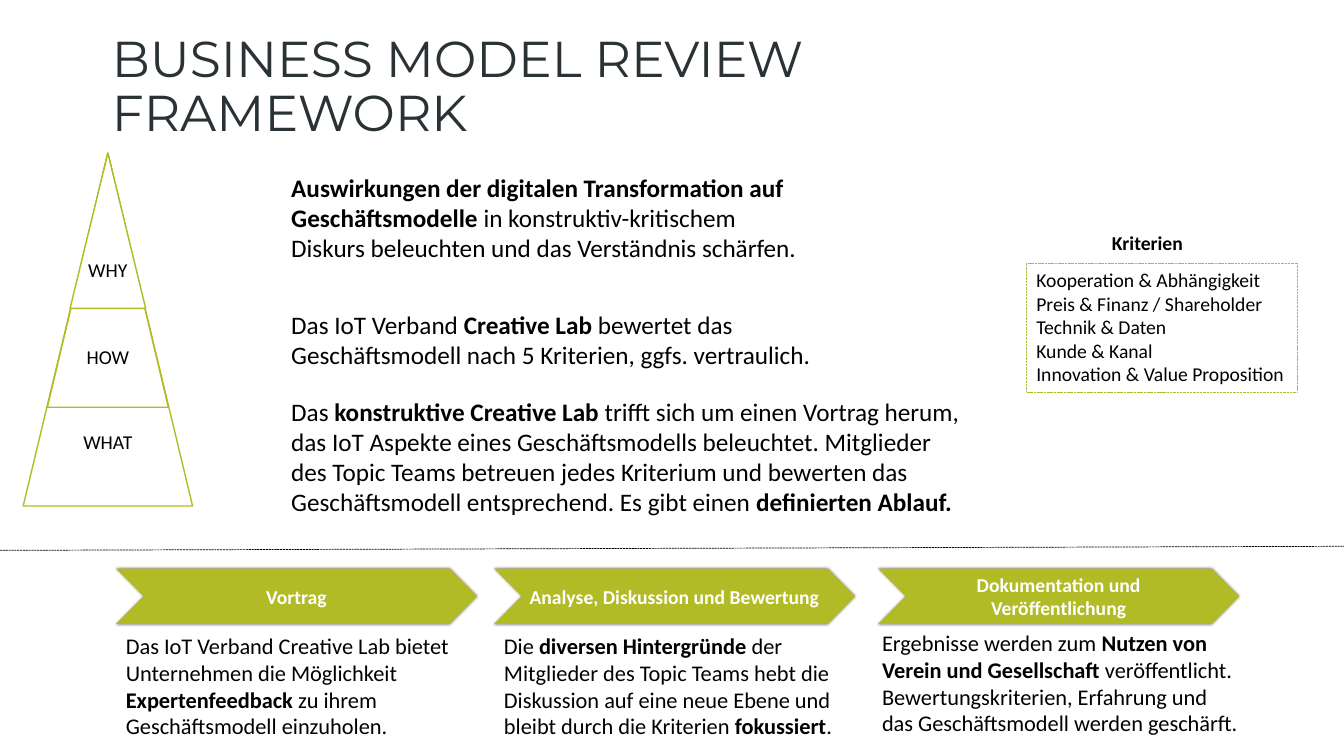
from lxml import etree
from pptx import Presentation
from pptx.dml.color import RGBColor
from pptx.enum.dml import MSO_LINE
from pptx.enum.shapes import MSO_CONNECTOR, MSO_SHAPE
from pptx.enum.text import MSO_ANCHOR, MSO_AUTO_SIZE, PP_ALIGN
from pptx.oxml.ns import qn
from pptx.util import Pt

PX = 9144
LEFT, CENTER = PP_ALIGN.LEFT, PP_ALIGN.CENTER
TOP, MIDDLE = MSO_ANCHOR.TOP, MSO_ANCHOR.MIDDLE
TRIANGLE, CHEVRON, RECT = MSO_SHAPE.ISOSCELES_TRIANGLE, MSO_SHAPE.CHEVRON, MSO_SHAPE.RECTANGLE
STRAIGHT, DASH, NO_FIT = MSO_CONNECTOR.STRAIGHT, MSO_LINE.SQUARE_DOT, MSO_AUTO_SIZE.NONE
BLACK, WHITE, DARK, LIME, GREEN = "000000", "FFFFFF", "2A3235", "B1BB23", "B1BB25"

STATEMENTS = [
    (166, 531, 101, "**Auswirkungen der digitalen Transformation auf Geschäftsmodelle **in "
     "konstruktiv-kritischem Diskurs beleuchten und das Verständnis schärfen."),
    (302, 544, 71, "Das IoT Verband **Creative Lab **bewertet das Geschäftsmodell nach "
     "5 Kriterien, ggfs. vertraulich."),
    (388, 690, 131, "Das **konstruktive Creative Lab **trifft sich um einen Vortrag herum, das IoT "
     "Aspekte eines Geschäftsmodells beleuchtet. Mitglieder des Topic Teams betreuen jedes "
     "Kriterium und bewerten das Geschäftsmodell entsprechend. Es gibt einen "
     "**definierten Ablauf.**"),
]
CRITERIA = ["Kooperation & Abhängigkeit", "Preis & Finanz / Shareholder", "Technik & Daten",
            "Kunde & Kanal", "Innovation & Value Proposition"]
LEVELS = [("WHAT", 168, 350, 47), ("HOW", 120, 252, 26), ("WHY", 75, 154, 0)]
STEPS = [
    (115, "Vortrag", (115, 622, 358, 118),
     "Das IoT Verband Creative Lab bietet Unternehmen die Möglichkeit **Expertenfeedback** zu "
     "ihrem Geschäftsmodell einzuholen."),
    (490, "Analyse, Diskussion und Bewertung", (490, 622, 358, 118),
     "Die **diversen Hintergründe **der Mitglieder des Topic Teams hebt die Diskussion auf eine "
     "neue Ebene und bleibt durch die Kriterien **fokussiert**."),
    (871, "Dokumentation und Veröffentlichung", (865, 619, 377, 118),
     "Ergebnisse werden zum **Nutzen von Verein und Gesellschaft** veröffentlicht. "
     "Bewertungskriterien, Erfahrung und das Geschäftsmodell werden geschärft."),
]


def px(*values):
    """Turn pixel lengths into EMU."""
    return [value * PX for value in values]


def rgb(color):
    """Return the colour for a hex string."""
    return RGBColor.from_string(color)


def write(sp, lines, size, color=BLACK, font="Calibri", align=LEFT, anchor=TOP,
          insets=(10, 5, 10, 5), wrap=True):
    """Fill a shape with lines in which double asterisks switch bold."""
    tf = sp.text_frame
    tf.auto_size, tf.word_wrap, tf.vertical_anchor = NO_FIT, wrap, anchor
    tf.margin_left, tf.margin_top, tf.margin_right, tf.margin_bottom = px(*insets)
    for i, line in enumerate(lines):
        p = tf.add_paragraph() if i else tf.paragraphs[0]
        p.alignment = align
        for j, part in enumerate(line.split("**")):
            if part:
                r = p.add_run()
                r.text = part
                r.font.name, r.font.size, r.font.bold = font, Pt(size), j % 2 == 1
                r.font.color.rgb = rgb(color)


def add_text(s, box, line, size, wrap=True):
    """Add a one-paragraph text box."""
    sp = s.shapes.add_textbox(*px(*box))
    write(sp, [line], size, wrap=wrap)


def add_shape(s, kind, box, fill=None, line=None, width=1):
    """Add a flat preset shape."""
    sp = s.shapes.add_shape(kind, *px(*box))
    sp.shadow.inherit = False
    if fill:
        sp.fill.solid()
        sp.fill.fore_color.rgb = rgb(fill)
    else:
        sp.fill.background()
    if line:
        sp.line.color.rgb = rgb(line)
        sp.line.width = Pt(width)
    else:
        sp.line.fill.background()
    return sp


def add_title(s, box):
    """Place and format the title."""
    sp = s.shapes.title
    sp.left, sp.top, sp.width, sp.height = px(*box)
    write(sp, ["BUSINESS MODEL REVIEW FRAMEWORK"], 36, DARK, "Montserrat",
          anchor=MIDDLE, insets=(4, 4, 4, 4))
    sp.text_frame.paragraphs[0].line_spacing = 0.9


def add_pyramid(s, center, top):
    """Stack the nested triangles under one apex."""
    for label, width, height, drop in LEVELS:
        sp = add_shape(s, TRIANGLE, (center - width / 2, top, width, height), WHITE, LIME)
        write(sp, [label], 14, align=CENTER, anchor=MIDDLE, insets=(0, 4 + drop, 0, 4), wrap=False)


def add_criteria(s, left, top):
    """Add the heading and the dotted box of criteria."""
    add_text(s, (left + 75, top, 91, 34), "**Kriterien**", 14, wrap=False)
    sp = add_shape(s, RECT, (left, top + 37, 269, 128), line=LIME, width=0.25)
    sp.line.dash_style = DASH
    write(sp, CRITERIA, 14, wrap=False)


def add_divider(s, start, end):
    """Draw the dashed rule between the two halves."""
    line = s.shapes.add_connector(STRAIGHT, *px(*start, *end))
    line.line.color.rgb = rgb(BLACK)
    line.line.width, line.line.dash_style = Pt(0.5), DASH
    etree.SubElement(line.element.spPr, qn("a:effectLst"))


def add_shadow(sp):
    """Give a shape a soft half-transparent shadow."""
    effects = sp.element.spPr.find(qn("a:effectLst"))
    shadow = etree.SubElement(effects, qn("a:outerShdw"), blurRad="25400", dist="0", dir="5400000")
    color = etree.SubElement(shadow, qn("a:srgbClr"), val=BLACK)
    etree.SubElement(color, qn("a:alpha"), val="50000")


def add_step(s, left, top, label, caption_box, caption):
    """Add one process chevron and its caption."""
    sp = add_shape(s, CHEVRON, (left, top, 358, 55), GREEN)
    add_shadow(sp)
    write(sp, [f"**{label}**"], 14, WHITE, align=CENTER, anchor=MIDDLE, insets=(3, 3, 3, 3))
    add_text(s, caption_box, caption, 16)


def main():
    """Build and save the slide."""
    prs = Presentation()
    prs.slide_width, prs.slide_height = px(1333, 750)
    s = prs.slides.add_slide(prs.slide_layouts[5])
    add_title(s, (107, 29, 991, 117))
    add_pyramid(s, 107, 152)
    for top, width, height, text in STATEMENTS:
        add_text(s, (279, top, width, height), text, 18)
    add_criteria(s, 1018, 224)
    add_divider(s, (0, 546), (1333, 542))
    for left, label, caption_box, caption in STEPS:
        add_step(s, left, 564, label, caption_box, caption)
    prs.save("out.pptx")


if __name__ == "__main__":
    main()
